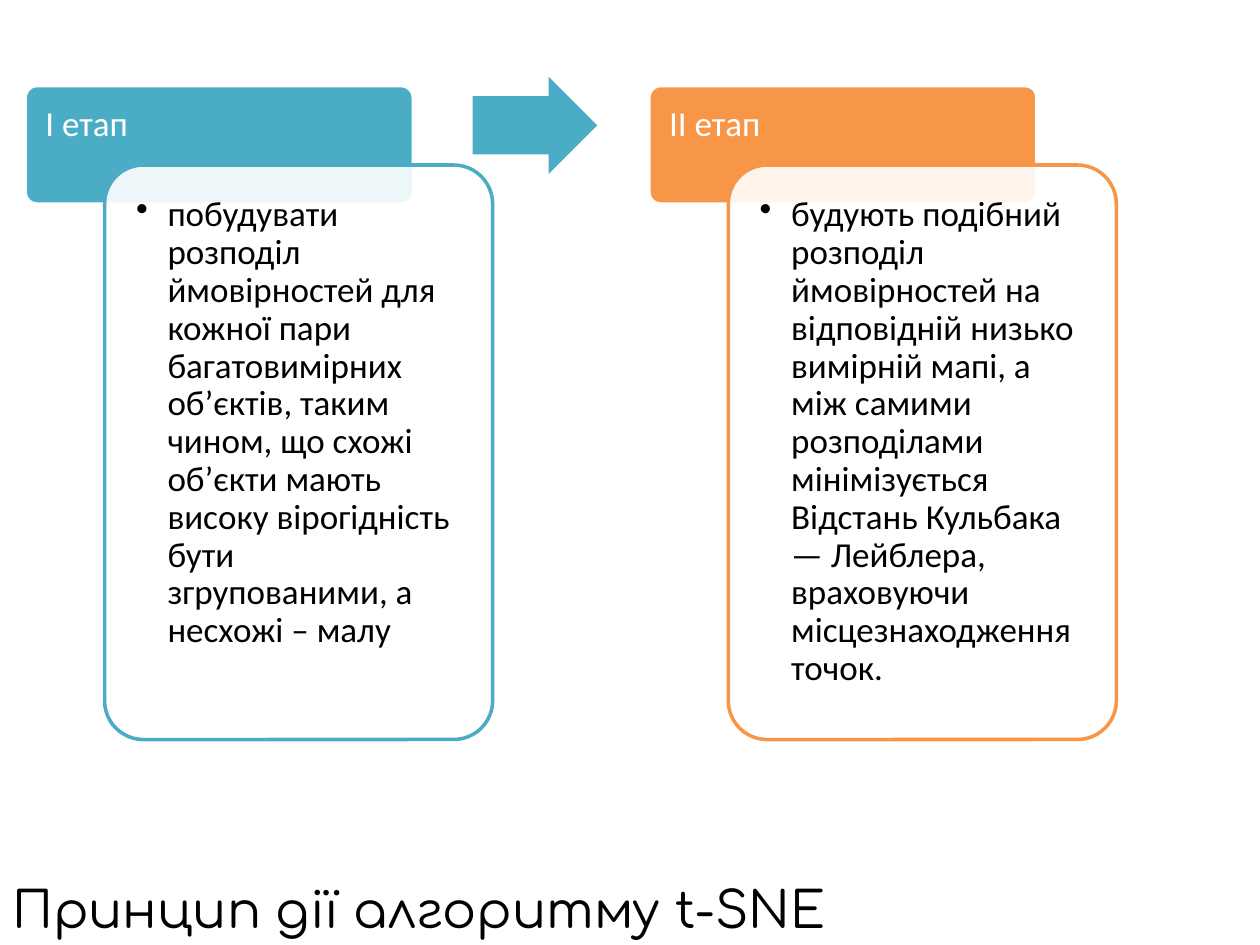
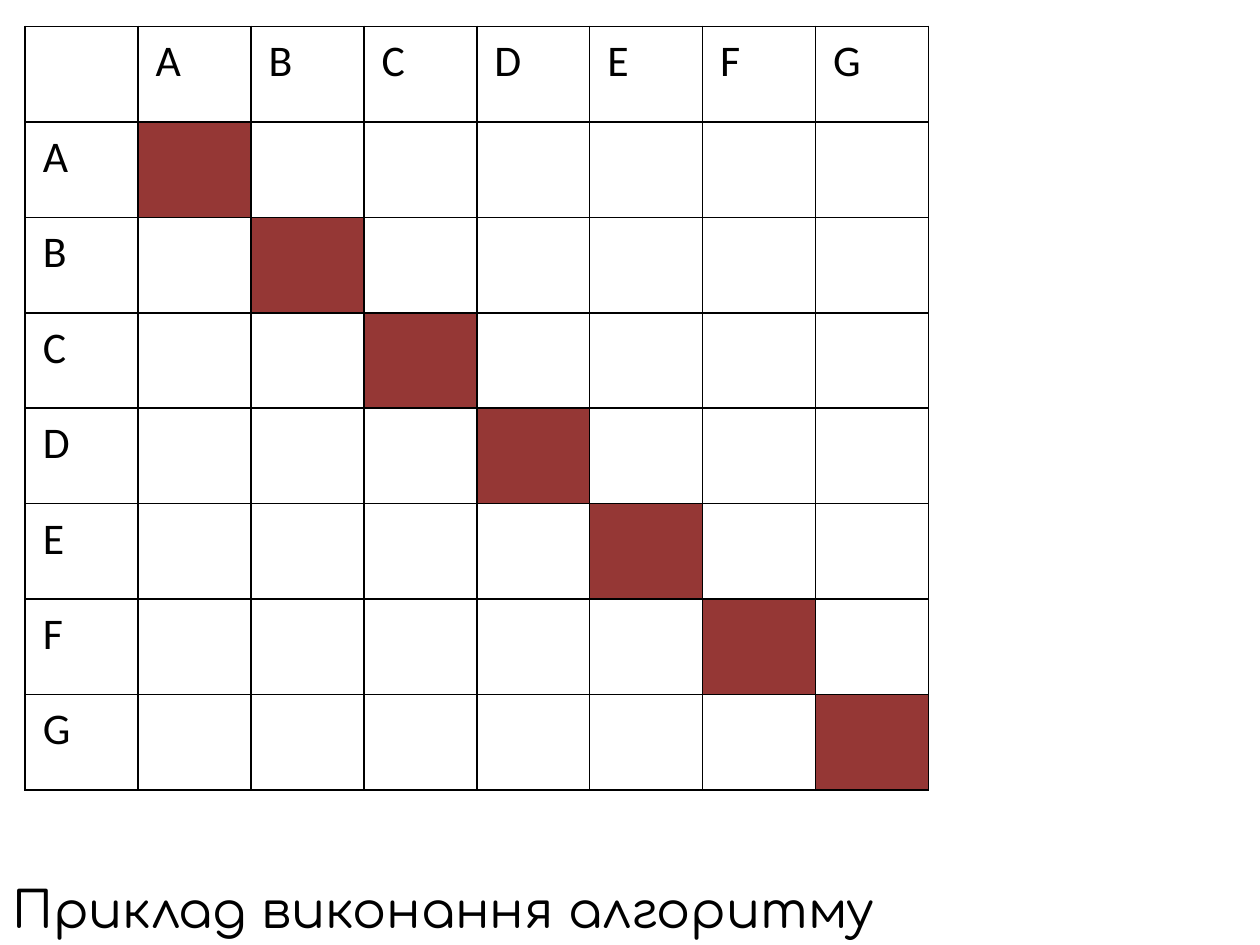
import dataclasses

import lxml.etree
import pptx
import pptx.dml.color
import pptx.enum.shapes
import pptx.enum.text
import pptx.oxml.ns
import pptx.util

Inches = pptx.util.Inches
Pt = pptx.util.Pt
qn = pptx.oxml.ns.qn
ShapeKind = pptx.enum.shapes.MSO_SHAPE
Anchor = pptx.enum.text.MSO_ANCHOR


@dataclasses.dataclass(frozen=True)
class Theme:
    black: str = "000000"
    white: str = "FFFFFF"
    teal: str = "4BACC6"
    orange: str = "F79646"
    diagonal: str = "953735"
    title_font: str = "Comfortaa"
    body_font: str = "Calibri"
    title_size: float = 28.8
    stage_size: float = 20
    table_size: float = 25


THEME = Theme()

STAGES = [
    ("І етап", THEME.teal,
     "побудувати розподіл ймовірностей для кожної пари багатовимірних "
     "об’єктів, таким чином, що схожі об’єкти мають високу вірогідність "
     "бути згрупованими, а несхожі – малу"),
    ("ІІ етап", THEME.orange,
     "будують подібний розподіл ймовірностей на відповідній низько "
     "вимірній мапі, а між самими розподілами мінімізується Відстань "
     "Кульбака — Лейблера, враховуючи місцезнаходження точок."),
]
STAGE_LEFT, STAGE_PITCH = 0.2, 4.95
OBJECT_NAMES = "ABCDEFG"


def rgb(color):
    return pptx.dml.color.RGBColor.from_string(color)


def write_text(frame, text, *, size, color=THEME.black, font=THEME.body_font,
               line_spacing=None, bullet=False):
    """Fill a text frame with one formatted paragraph."""
    frame.word_wrap = True
    paragraph = frame.paragraphs[0]
    if line_spacing:
        paragraph.line_spacing = line_spacing
    run = paragraph.add_run()
    run.text = text
    run.font.size = Pt(size)
    run.font.name = font
    run.font.color.rgb = rgb(color)
    if bullet:
        properties = paragraph._p.get_or_add_pPr()
        properties.set("marL", str(Inches(0.25)))
        properties.set("indent", str(Inches(-0.25)))
        lxml.etree.SubElement(properties, qn("a:buChar")).set("char", "•")


def add_text(slide, text, left, top, width, height, *, insets=None,
             anchor=Anchor.TOP, **text_format):
    box = slide.shapes.add_textbox(Inches(left), Inches(top),
                                   Inches(width), Inches(height))
    frame = box.text_frame
    frame.vertical_anchor = anchor
    if insets:
        (frame.margin_left, frame.margin_top,
         frame.margin_right, frame.margin_bottom) = map(Inches, insets)
    write_text(frame, text, **text_format)


def add_block(slide, kind, left, top, width, height, *, fill, line=None,
              adjustments=(0.1,), opacity=None):
    shape = slide.shapes.add_shape(kind, Inches(left), Inches(top),
                                   Inches(width), Inches(height))
    shape.shadow.inherit = False
    for index, value in enumerate(adjustments):
        shape.adjustments[index] = value
    shape.fill.solid()
    shape.fill.fore_color.rgb = rgb(fill)
    if opacity:
        color = shape._element.spPr.find(qn("a:solidFill")).find(qn("a:srgbClr"))
        lxml.etree.SubElement(color, qn("a:alpha")).set("val", str(opacity * 1000))
    if line:
        shape.line.color.rgb = rgb(line)
        shape.line.width = Pt(2)
    else:
        shape.line.fill.background()


def add_titled_slide(presentation, title):
    slide = presentation.slides.add_slide(presentation.slide_layouts[6])
    add_text(slide, title, 0, 6.9, 9, 0.6, anchor=Anchor.BOTTOM,
             size=THEME.title_size, font=THEME.title_font)
    return slide


def add_stage(slide, left, heading, color, description):
    """Draw a coloured heading with a description card overlapping it."""
    stage_format = dict(size=THEME.stage_size, line_spacing=0.9)
    add_block(slide, ShapeKind.ROUNDED_RECTANGLE, left, 0.68, 3.08, 0.94,
              fill=color, line=THEME.white)
    add_text(slide, heading, left, 0.68, 3.08, 0.63, color=THEME.white,
             insets=(0.16, 0.16, 0.16, 0.08), **stage_format)
    add_block(slide, ShapeKind.ROUNDED_RECTANGLE, left + 0.63, 1.31, 3.08, 4.56,
              fill=THEME.white, line=color, opacity=90)
    add_text(slide, description, left + 0.72, 1.4, 2.9, 4.38, bullet=True,
             insets=(0.16,) * 4, **stage_format)


def set_borders(cell, color):
    properties = cell._tc.get_or_add_tcPr()
    for side in ("lnL", "lnR", "lnT", "lnB"):
        border = lxml.etree.SubElement(properties, qn("a:" + side))
        border.set("w", str(Pt(1)))
        fill = lxml.etree.SubElement(border, qn("a:solidFill"))
        lxml.etree.SubElement(fill, qn("a:srgbClr")).set("val", color)


def add_pair_matrix(slide, names):
    """Draw a square table of object pairs with its diagonal filled."""
    labels = ["", *names]
    count = len(labels)
    table = slide.shapes.add_table(count, count, Inches(0.2), Inches(0.21),
                                   Inches(7.17), Inches(6.06)).table
    table.first_row = False
    table.horz_banding = False
    for row in range(count):
        for column in range(count):
            cell = table.cell(row, column)
            set_borders(cell, THEME.black)
            on_diagonal = row == column > 0
            cell.fill.solid()
            cell.fill.fore_color.rgb = rgb(THEME.diagonal if on_diagonal else THEME.white)
            cell.margin_left = cell.margin_right = Inches(0.14)
            cell.margin_top = cell.margin_bottom = Inches(0.07)
            # Only the first row and column carry labels
            if (row == 0) != (column == 0):
                write_text(cell.text_frame, labels[row + column],
                           size=THEME.table_size)


def main():
    presentation = pptx.Presentation()
    presentation.slide_width = Inches(10)
    presentation.slide_height = Inches(7.5)

    # Two stages joined by an arrow
    slide = add_titled_slide(presentation, "Принцип дії алгоритму t-SNE")
    for index, stage in enumerate(STAGES):
        add_stage(slide, STAGE_LEFT + index * STAGE_PITCH, *stage)
    add_block(slide, ShapeKind.RIGHT_ARROW, 3.75, 0.61, 0.99, 0.77,
              fill=THEME.teal, adjustments=(0.6, 0.5))

    # Matrix of object pairs
    slide = add_titled_slide(presentation, "Приклад виконання алгоритму")
    add_pair_matrix(slide, OBJECT_NAMES)

    presentation.save("out.pptx")


if __name__ == "__main__":
    main()
